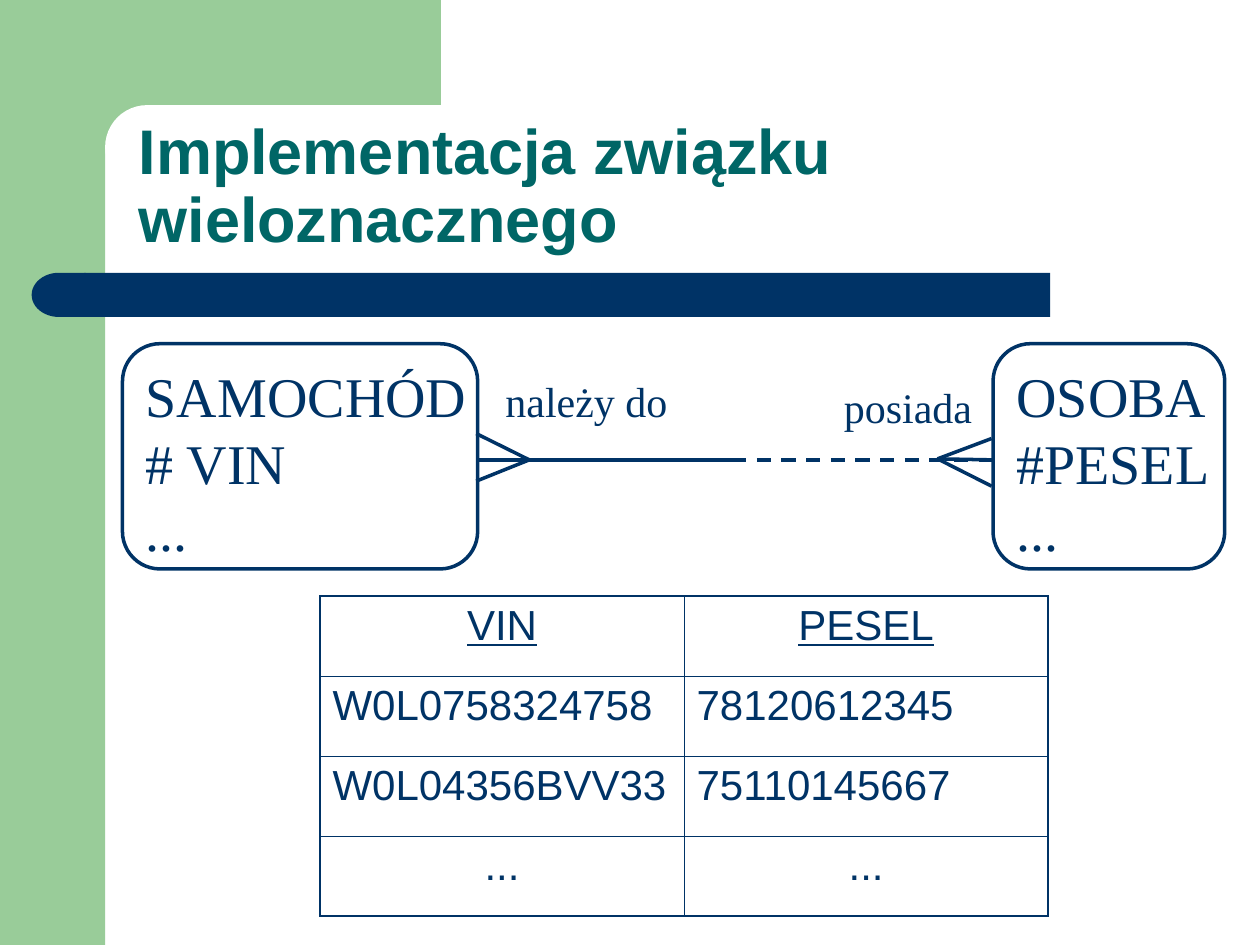
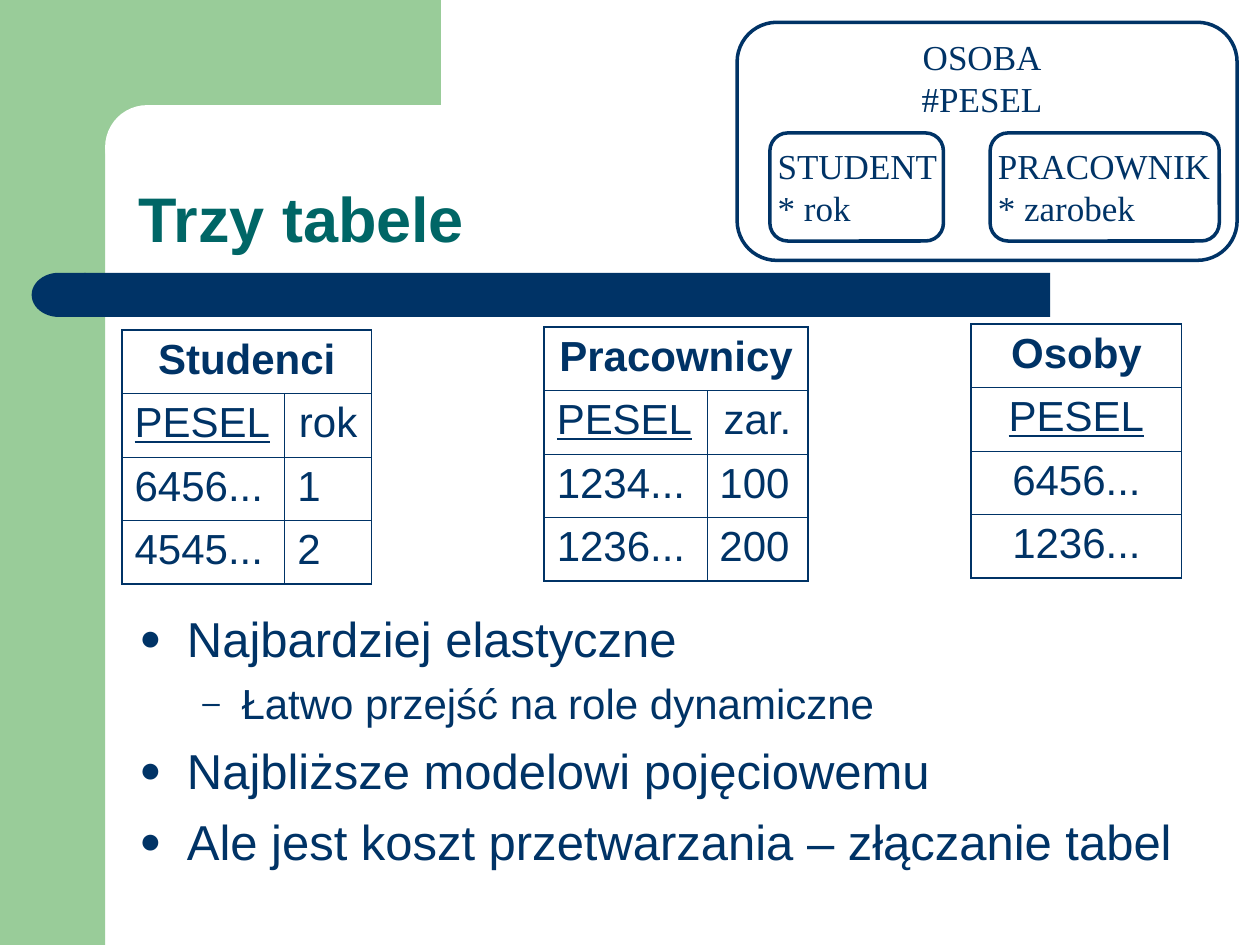
from lxml.etree import SubElement
from pptx import Presentation
from pptx.dml.color import RGBColor
from pptx.enum.dml import MSO_LINE
from pptx.enum.shapes import MSO_CONNECTOR, MSO_SHAPE
from pptx.enum.text import MSO_ANCHOR, PP_ALIGN
from pptx.oxml.ns import qn
from pptx.util import Cm, Pt

COLORS = {"navy": "003366", "green": "99CC99", "teal": "006666", "white": "FFFFFF"}
RGB = {name: RGBColor.from_string(value) for name, value in COLORS.items()}
SANS, SERIF = "Arial", "Times New Roman"
ALIGN = {"l": PP_ALIGN.LEFT, "c": PP_ALIGN.CENTER}
KEYS = ("VIN", "PESEL")


def write(frame, text, size, font, align="l", color="navy", bold=False):
    frame.text = text
    for paragraph in frame.paragraphs:
        paragraph.alignment = ALIGN[align]
        for run in paragraph.runs:
            run.font.size = Pt(size)
            run.font.name = font
            run.font.bold = bold
            run.font.color.rgb = RGB[color]


def add_relation(slide, left, top, widths, row_height, rows, aligns, titled=True):
    """Draw a database table: thick frame, thin rules, underlined key names."""
    table = slide.shapes.add_table(
        len(rows), len(widths), Cm(left), Cm(top),
        Cm(sum(widths)), Cm(row_height * len(rows))).table
    table.first_row = table.horz_banding = False
    for column, width in zip(table.columns, widths):
        column.width = Cm(width)
    for r, row in enumerate(rows):
        table.rows[r].height = Cm(row_height)
        for c, text in enumerate(row):
            cell = table.cell(r, c)
            write(cell.text_frame, text, 24, SANS, aligns[r][c], bold=titled and r == 0)
            paragraph = cell.text_frame.paragraphs[0]
            paragraph.space_before = Pt(6)
            if text in KEYS:
                paragraph.runs[0].font.underline = True
            is_outer = {"lnL": c == 0, "lnR": c == len(widths) - 1,
                        "lnT": r == 0, "lnB": r == len(rows) - 1}
            if titled and r == 0:
                is_outer.update(lnL=True, lnR=True)
            properties = cell._tc.get_or_add_tcPr()
            for edge, outer in is_outer.items():
                border = SubElement(properties, qn("a:" + edge),
                                    w=str(Pt(1.08 if outer else 0.45)))
                fill = SubElement(border, qn("a:solidFill"))
                SubElement(fill, qn("a:srgbClr"), val=COLORS["navy"])
            cell.fill.background()
    if titled and len(widths) > 1:
        table.cell(0, 0).merge(table.cell(0, len(widths) - 1))


deck = Presentation()
deck.slide_width, deck.slide_height = Cm(25.4), Cm(19.05)
layout = deck.slide_layouts[5]

# Slides and their titles
slides = []
for heading in ("Implementacja związku wieloznacznego", "Trzy tabele"):
    slide = deck.slides.add_slide(layout)
    title = slide.shapes.title
    title.left, title.top, title.width, title.height = Cm(2.54), Cm(2.12), Cm(22.23), Cm(3.18)
    write(title.text_frame, heading, 36, SANS, color="teal", bold=True)
    title.text_frame.vertical_anchor = MSO_ANCHOR.BOTTOM
    title.text_frame.word_wrap = True
    title.text_frame.paragraphs[0].line_spacing = 0.9
    slides.append(slide)
many_to_many, three_tables = slides

# Bands, moved to the layout so that both slides share them
for kind, left, top, width, height, color, corner in (
        (MSO_SHAPE.RECTANGLE, 0, 0, 2.12, 19.05, "green", None),
        (MSO_SHAPE.RECTANGLE, 1.9, 0, 6.99, 2.96, "green", None),
        (MSO_SHAPE.ROUNDED_RECTANGLE, 2.12, 2.12, 14.18, 1.69, "white", 0.5),
        (MSO_SHAPE.RECTANGLE, 1.7, 5.5, 19.47, 0.89, "navy", None),
        (MSO_SHAPE.FLOWCHART_DELAY, 0.64, 5.5, 1.09, 0.89, "navy", None)):
    band = many_to_many.shapes.add_shape(kind, Cm(left), Cm(top), Cm(width), Cm(height))
    band.shadow.inherit = False
    band.fill.solid()
    band.fill.fore_color.rgb = RGB[color]
    band.line.fill.background()
    if corner:
        band.adjustments[0] = corner
    if kind == MSO_SHAPE.FLOWCHART_DELAY:
        band.element.spPr.get_or_add_xfrm().set("flipH", "1")
    layout.shapes.element.append(band.element)

# Entities of both diagrams; margins run left, top, right, bottom
wide, tight, snug = (0.25, 0.13, 0.25, 0.13), (0.05, 0.03, 0.25, 0.03), (0.05, 0.13, 0.05, 0.13)
for slide, left, top, width, height, text, size, align, margins in (
        (many_to_many, 2.47, 6.93, 7.16, 4.54, "SAMOCHÓD\n# VIN\n...", 32, "l", wide),
        (many_to_many, 20.02, 6.93, 4.67, 4.54, "OSOBA\n#PESEL\n...", 32, "l", wide),
        (three_tables, 14.86, 0.45, 10.08, 4.8, "OSOBA\n#PESEL", 20, "c", tight),
        (three_tables, 15.52, 2.68, 3.5, 2.18, "STUDENT\n* rok", 20, "l", snug),
        (three_tables, 19.96, 2.68, 4.62, 2.18, "PRACOWNIK\n* zarobek", 20, "l", snug)):
    entity = slide.shapes.add_shape(
        MSO_SHAPE.ROUNDED_RECTANGLE, Cm(left), Cm(top), Cm(width), Cm(height))
    entity.shadow.inherit = False
    entity.fill.solid()
    entity.fill.fore_color.rgb = RGB["white"]
    entity.line.color.rgb = RGB["navy"]
    entity.line.width = Pt(2)
    frame = entity.text_frame
    write(frame, text, size, SERIF, align)
    frame.word_wrap = False
    frame.vertical_anchor = MSO_ANCHOR.TOP
    frame.margin_left, frame.margin_top, frame.margin_right, frame.margin_bottom = map(Cm, margins)

# Relationship line with a crow's foot at each end
axis, car_edge, car_tip, middle, person_tip, person_edge = 9.27, 9.6, 10.67, 14.76, 18.9, 19.99
strokes = [(car_tip, axis, middle, axis, False), (middle, axis, person_edge, axis, True)]
strokes += [(car_edge, y, car_tip, axis, False) for y in (8.74, axis, 9.7)]
strokes += [(person_edge, y, person_tip, 9.25, False) for y in (8.84, axis, 9.8)]
for x1, y1, x2, y2, dashed in strokes:
    stroke = many_to_many.shapes.add_connector(
        MSO_CONNECTOR.STRAIGHT, Cm(x1), Cm(y1), Cm(x2), Cm(y2))
    stroke.line.color.rgb = RGB["navy"]
    stroke.line.width = Pt(2)
    if dashed:
        stroke.line.dash_style = MSO_LINE.DASH
    SubElement(stroke.element.spPr, qn("a:effectLst"))

for left, top, width, role in ((9.94, 7.44, 3.9, "należy do"), (16.76, 7.57, 3.2, "posiada")):
    role_label = many_to_many.shapes.add_textbox(Cm(left), Cm(top), Cm(width), Cm(1.27))
    write(role_label.text_frame, role, 24, SERIF)
    role_label.text_frame.word_wrap = False

# Tables
add_relation(many_to_many, 6.45, 12.02, (7.34, 7.34), 1.61,
             (KEYS, ("W0L0758324758", "78120612345"),
              ("W0L04356BVV33", "75110145667"), ("...", "...")),
             ("cc", "ll", "ll", "cc"), titled=False)
add_relation(three_tables, 2.46, 6.65, (3.28, 1.75), 1.28,
             (("Studenci", ""), ("PESEL", "rok"), ("6456...", "1"), ("4545...", "2")),
             ("cc", "lc", "ll", "ll"))
add_relation(three_tables, 10.97, 6.59, (3.28, 2.04), 1.28,
             (("Pracownicy", ""), ("PESEL", "zar."), ("1234...", "100"), ("1236...", "200")),
             ("cc", "lc", "ll", "ll"))
add_relation(three_tables, 19.58, 6.53, (4.24,), 1.28,
             (("Osoby",), ("PESEL",), ("6456...",), ("1236...",)), "cccc")

# Conclusions: level, text
conclusions = (
    (0, "Najbardziej elastyczne"),
    (1, "Łatwo przejść na role dynamiczne"),
    (0, "Najbliższe modelowi pojęciowemu"),
    (0, "Ale jest koszt przetwarzania – złączanie tabel"))
LEVELS = ((28, 7, 0.96, -0.96, "●"), (24, 6, 2.06, -0.79, "–"))
summary = three_tables.shapes.add_textbox(Cm(2.56), Cm(12.14), Cm(22.1), Cm(6.4)).text_frame
write(summary, "\n".join(text for _, text in conclusions), 28, SANS)
summary.word_wrap = True
for paragraph, (level, _) in zip(summary.paragraphs, conclusions):
    size, space, margin, indent, bullet = LEVELS[level]
    paragraph.level = level
    paragraph.space_before = Pt(space)
    paragraph.runs[0].font.size = Pt(size)
    properties = paragraph._p.get_or_add_pPr()
    properties.set("marL", str(Cm(margin)))
    properties.set("indent", str(Cm(indent)))
    bullet_color = SubElement(properties, qn("a:buClr"))
    SubElement(bullet_color, qn("a:srgbClr"), val=COLORS["navy"])
    SubElement(properties, qn("a:buSzPct"), val="75000")
    SubElement(properties, qn("a:buFont"), typeface=SANS)
    SubElement(properties, qn("a:buChar"), char=bullet)

deck.save("out.pptx")
